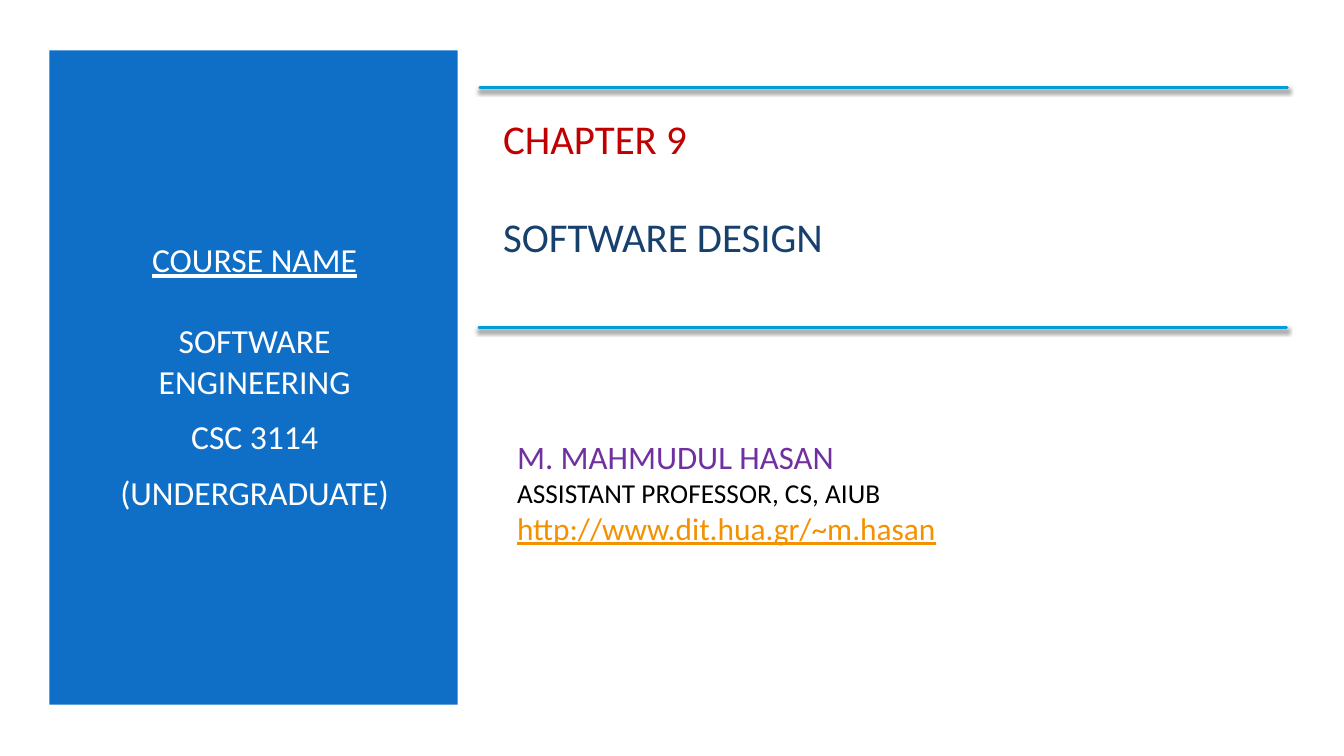
import lxml.etree
import pptx
import pptx.dml.color
import pptx.enum.shapes
import pptx.enum.text
import pptx.oxml
import pptx.oxml.ns
import pptx.util

Inches = pptx.util.Inches
Pt = pptx.util.Pt
Align = pptx.enum.text.PP_ALIGN

SHADOW = (
    '<a:effectLst xmlns:a="http://schemas.openxmlformats.org/drawingml/2006/main">'
    '<a:outerShdw blurRad="38100" dist="25400" dir="5400000" rotWithShape="0">'
    '<a:srgbClr val="000000"><a:alpha val="55000"/></a:srgbClr>'
    "</a:outerShdw></a:effectLst>"
)


def color(value):
    return pptx.dml.color.RGBColor.from_string(value)


def place(shape, box):
    for name, value in zip(("left", "top", "width", "height"), box):
        setattr(shape, name, Inches(value))


def write(shape, lines, align=Align.LEFT):
    """Fill a shape with (text, size, colour, underline, space before) lines."""
    frame = shape.text_frame
    frame.word_wrap = True
    frame.auto_size = pptx.enum.text.MSO_AUTO_SIZE.NONE
    frame.vertical_anchor = pptx.enum.text.MSO_ANCHOR.MIDDLE
    for index, (text, size, hex_color, underline, gap) in enumerate(lines):
        paragraph = frame.add_paragraph() if index else frame.paragraphs[0]
        paragraph_format = {"alignment": align, "space_before": Pt(gap), "space_after": Pt(0)}
        for name, value in paragraph_format.items():
            setattr(paragraph, name, value)
        run = paragraph.add_run()
        run.text = text
        font_format = {"name": "Calibri", "size": Pt(size), "bold": False, "underline": underline}
        for name, value in font_format.items():
            setattr(run.font, name, value)
        run.font.color.rgb = color(hex_color)


def add_course_panel(slide, placeholder, box):
    left, top, width, height = box
    panel = slide.shapes.add_shape(
        pptx.enum.shapes.MSO_SHAPE.RECTANGLE, *(Inches(value) for value in box)
    )
    panel.shadow.inherit = False
    panel.fill.solid()
    panel.fill.fore_color.rgb = color("0F6FC6")
    panel.line.fill.background()
    # The panel goes behind the placeholders.
    slide.shapes._spTree.insert(2, panel._element)

    place(placeholder, (left + 0.35, top + 0.6, width - 0.68, height - 1.24))
    write(
        placeholder,
        [
            ("COURSE NAME", 24, "FFFFFF", True, 0),
            ("SOFTWARE ENGINEERING", 24, "FFFFFF", False, 29.3),
            ("CSC 3114", 24, "FFFFFF", False, 10.8),
            ("(UNDERGRADUATE)", 24, "FFFFFF", False, 10.8),
        ],
        Align.CENTER,
    )


def add_rule(slide, left, top, width):
    rule = slide.shapes.add_connector(
        pptx.enum.shapes.MSO_CONNECTOR.STRAIGHT,
        Inches(left), Inches(top), Inches(left + width), Inches(top),
    )
    rule.line.color.rgb = color("009DD9")
    rule.line.width = Pt(2)
    properties = rule._element.spPr
    properties.find(pptx.oxml.ns.qn("a:ln")).set("cap", "rnd")
    properties.append(pptx.oxml.parse_xml(SHADOW))


def add_chapter_title(slide, box):
    left, top, width, height = box
    add_rule(slide, left + 0.01, top, width)
    add_rule(slide, left, top + height, width)
    title = slide.shapes.title
    place(title, (left + 0.14, top + 0.23, width - 0.16, 1.51))
    write(
        title,
        [
            ("CHAPTER 9", 29.2, "C00000", False, 0),
            ("SOFTWARE DESIGN", 29.2, "17406D", False, 35),
        ],
    )


def add_author(slide, box):
    author = slide.shapes.add_textbox(*(Inches(value) for value in box))
    write(
        author,
        [
            ("M. MAHMUDUL HASAN", 23.4, "7030A0", False, 0),
            ("ASSISTANT PROFESSOR, CS, AIUB", 19.5, "000000", False, 0),
            ("http://www.dit.hua.gr/~m.hasan", 22.4, "F49100", True, 0),
        ],
    )


def main():
    presentation = pptx.Presentation()
    presentation.slide_width = Inches(13.33)
    presentation.slide_height = Inches(7.5)
    slide = presentation.slides.add_slide(presentation.slide_layouts[0])
    slide.background.fill.solid()
    slide.background.fill.fore_color.rgb = color("FFFFFF")
    add_course_panel(slide, slide.placeholders[1], (0.49, 0.5, 4.05, 6.49))
    add_chapter_title(slide, (4.75, 0.87, 8.01, 2.38))
    add_author(slide, (5.03, 4.1, 6.66, 1.56))
    presentation.save("out.pptx")


if __name__ == "__main__":
    main()
